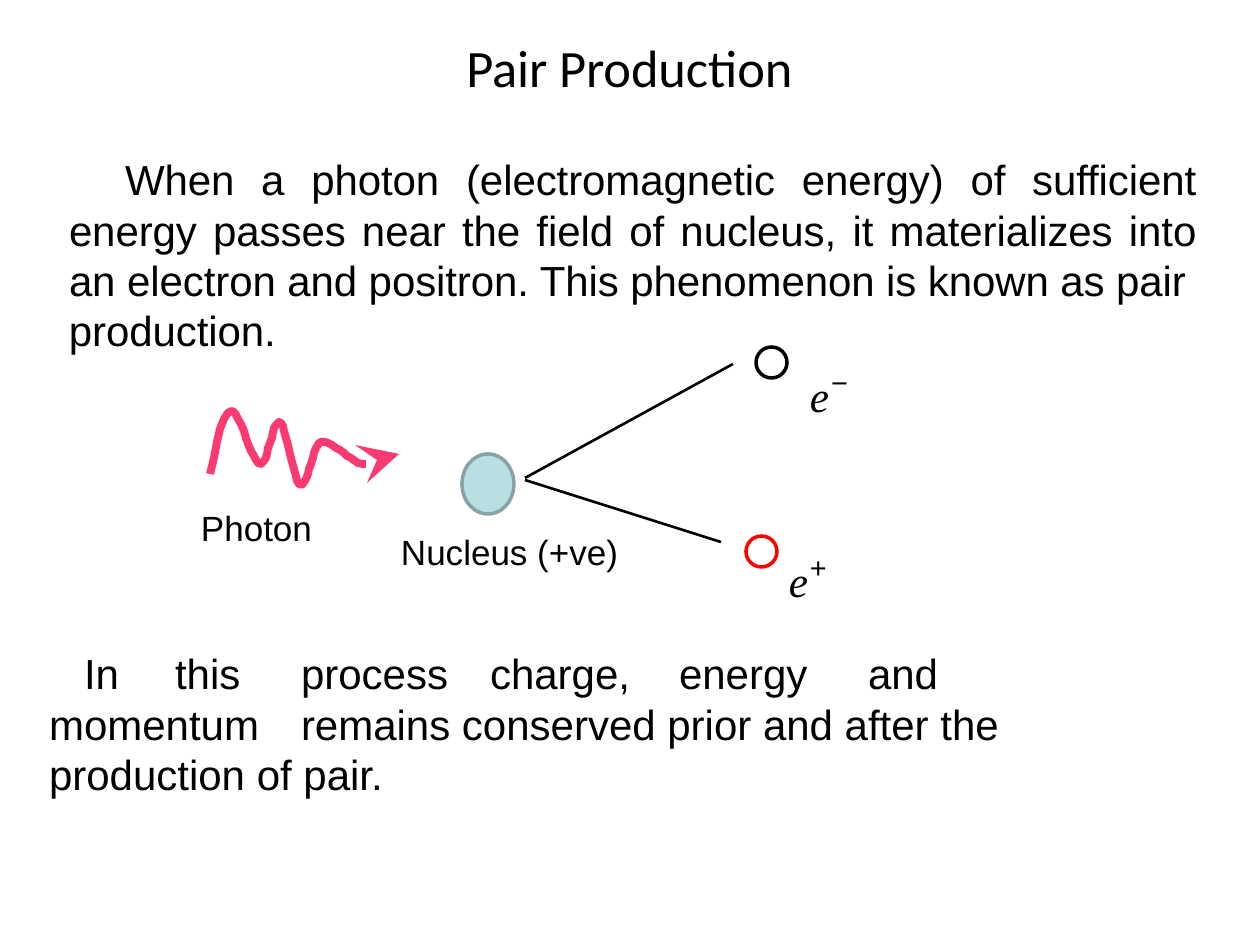
"""Build the Pair Production slide."""
import dataclasses
import math

import lxml.etree
import pptx
import pptx.dml.color
import pptx.enum.shapes
import pptx.enum.text
import pptx.oxml.ns
import pptx.util

SCALE = 914400 / 126
ALIGN = pptx.enum.text.PP_ALIGN


@dataclasses.dataclass(frozen=True)
class Theme:
    black: str = "000000"
    photon: str = "F93B71"
    nucleus: str = "BADFE2"
    nucleus_edge: str = "88A3A6"
    positron: str = "FF0000"
    heading_font: str = "Calibri"
    body_font: str = "Arial"
    math_font: str = "Times New Roman"
    title_size: float = 30
    body_size: float = 24
    body_leading: float = 28.8
    label_size: float = 20
    symbol_size: float = 42.8
    charge_size: float = 16.5


def px(value):
    return pptx.util.Emu(round(value * SCALE))


def color(value):
    return pptx.dml.color.RGBColor.from_string(value)


def add_text(paragraph, text, *, size, font, fill, italic=False, spacing=0, baseline=0):
    run = paragraph.add_run()
    run.text = text
    run.font.size = pptx.util.Pt(size)
    run.font.name = font
    run.font.italic = italic
    run.font.color.rgb = color(fill)
    properties = run.font._element
    properties.set("spc", str(spacing))
    if baseline:
        properties.set("baseline", str(baseline))


def wave_points(extremes, steps=12):
    points = []
    for (x1, y1), (x2, y2) in zip(extremes, extremes[1:]):
        for step in range(steps):
            part = step / steps
            ease = (1 - math.cos(math.pi * part)) / 2
            points.append((x1 + (x2 - x1) * part, y1 + (y2 - y1) * ease))
    return points[steps // 2:] + [extremes[-1]]


class Canvas:
    def __init__(self, slide, theme):
        self.slide = slide
        self.theme = theme

    def paint(self, shape, fill=None, line=None, width=2):
        shape.shadow.inherit = False
        if fill:
            shape.fill.solid()
            shape.fill.fore_color.rgb = color(fill)
        else:
            shape.fill.background()
        if line:
            shape.line.color.rgb = color(line)
            shape.line.width = pptx.util.Pt(width)
        else:
            shape.line.fill.background()

    def text_box(self, left, top, width, height, align=ALIGN.LEFT, indent=0, tabs=(), leading=None):
        shape = self.slide.shapes.add_textbox(px(left), px(top), px(width), px(height))
        frame = shape.text_frame
        frame.word_wrap = True
        frame.margin_left = frame.margin_right = frame.margin_bottom = 0
        frame.margin_top = px(3)
        paragraph = frame.paragraphs[0]
        properties = paragraph._p.get_or_add_pPr()
        properties.set("marL", str(px(1)))
        properties.set("indent", str(px(indent)))
        if tabs:
            tab_list = lxml.etree.SubElement(properties, pptx.oxml.ns.qn("a:tabLst"))
            for inches in tabs:
                lxml.etree.SubElement(tab_list, pptx.oxml.ns.qn("a:tab"),
                                      pos=str(pptx.util.Inches(inches)), algn="l")
        paragraph.alignment = align
        if leading:
            paragraph.line_spacing = pptx.util.Pt(leading)
        return paragraph

    def title(self, text, *box):
        add_text(self.text_box(*box, align=ALIGN.CENTER), text, size=self.theme.title_size,
                 font=self.theme.heading_font, fill=self.theme.black, spacing=-5)

    def body(self, text, *box, spacing=-5, **layout):
        paragraph = self.text_box(*box, leading=self.theme.body_leading, **layout)
        add_text(paragraph, text, size=self.theme.body_size, font=self.theme.body_font,
                 fill=self.theme.black, spacing=spacing)

    def label(self, text, *box):
        add_text(self.text_box(*box), text, size=self.theme.label_size,
                 font=self.theme.body_font, fill=self.theme.black)

    def particle_symbol(self, charge, left, top):
        paragraph = self.text_box(left, top, 50, 63, indent=4)
        add_text(paragraph, "e", size=self.theme.symbol_size, font=self.theme.math_font,
                 fill=self.theme.black, italic=True, spacing=100, baseline=-25000)
        add_text(paragraph, charge, size=self.theme.charge_size, font=self.theme.body_font,
                 fill=self.theme.black, spacing=70)

    def oval(self, left, top, width, height, **style):
        shape = self.slide.shapes.add_shape(pptx.enum.shapes.MSO_SHAPE.OVAL,
                                            px(left), px(top), px(width), px(height))
        self.paint(shape, **style)

    def outline(self, points, close, **style):
        builder = self.slide.shapes.build_freeform(*points[0], scale=SCALE)
        builder.add_line_segments(points[1:], close=close)
        self.paint(builder.convert_to_shape(), **style)

    def track(self, x1, y1, x2, y2):
        connector = self.slide.shapes.add_connector(
            pptx.enum.shapes.MSO_CONNECTOR.STRAIGHT, px(x1), px(y1), px(x2), px(y2))
        connector.line.color.rgb = color(self.theme.black)
        connector.line.width = pptx.util.Pt(1.5)
        lxml.etree.SubElement(connector._element.spPr, pptx.oxml.ns.qn("a:effectLst"))


def main():
    presentation = pptx.Presentation()
    presentation.slide_width, presentation.slide_height = px(1260), px(945)
    slide = presentation.slides.add_slide(presentation.slide_layouts[6])
    theme = Theme()
    canvas = Canvas(slide, theme)

    canvas.title("Pair Production", 432, 32, 394, 67)
    canvas.body("When a photon (electromagnetic energy) of sufficient energy passes near the field of "
                "nucleus, it materializes into an electron and positron. This phenomenon is known as pair",
                68, 151, 1128, 155, align=ALIGN.JUSTIFY, indent=56)
    canvas.body("production.", 68, 302, 212, 54)
    canvas.body("In\tthis\tprocess\tcharge,\tenergy\tand\tmomentum\tremains conserved prior and "
                "after the production of pair.",
                48, 645, 1128, 105, spacing=0, indent=35, tabs=(1, 2, 4, 6, 8))

    wave = wave_points([(189, 537), (231, 411), (261, 464), (279, 422), (301, 485), (321, 442), (366, 464)])
    canvas.outline(wave, False, line=theme.photon, width=4.5)
    canvas.outline([(355, 445), (377, 460), (367, 483), (399, 454)], True, fill=theme.photon)
    canvas.oval(462, 454, 52, 60, fill=theme.nucleus, line=theme.nucleus_edge)
    canvas.track(525, 478, 733, 364)
    canvas.track(525, 480, 721, 542)
    canvas.oval(746, 536, 31, 31, line=theme.positron)
    canvas.oval(756, 347, 31, 31, line=theme.black)

    canvas.label("Photon", 200, 504, 115, 45)
    canvas.label("Nucleus (+ve)", 400, 527, 221, 45)
    canvas.particle_symbol("−", 805, 316)
    canvas.particle_symbol("+", 784, 501)
    presentation.save("out.pptx")


if __name__ == "__main__":
    main()
